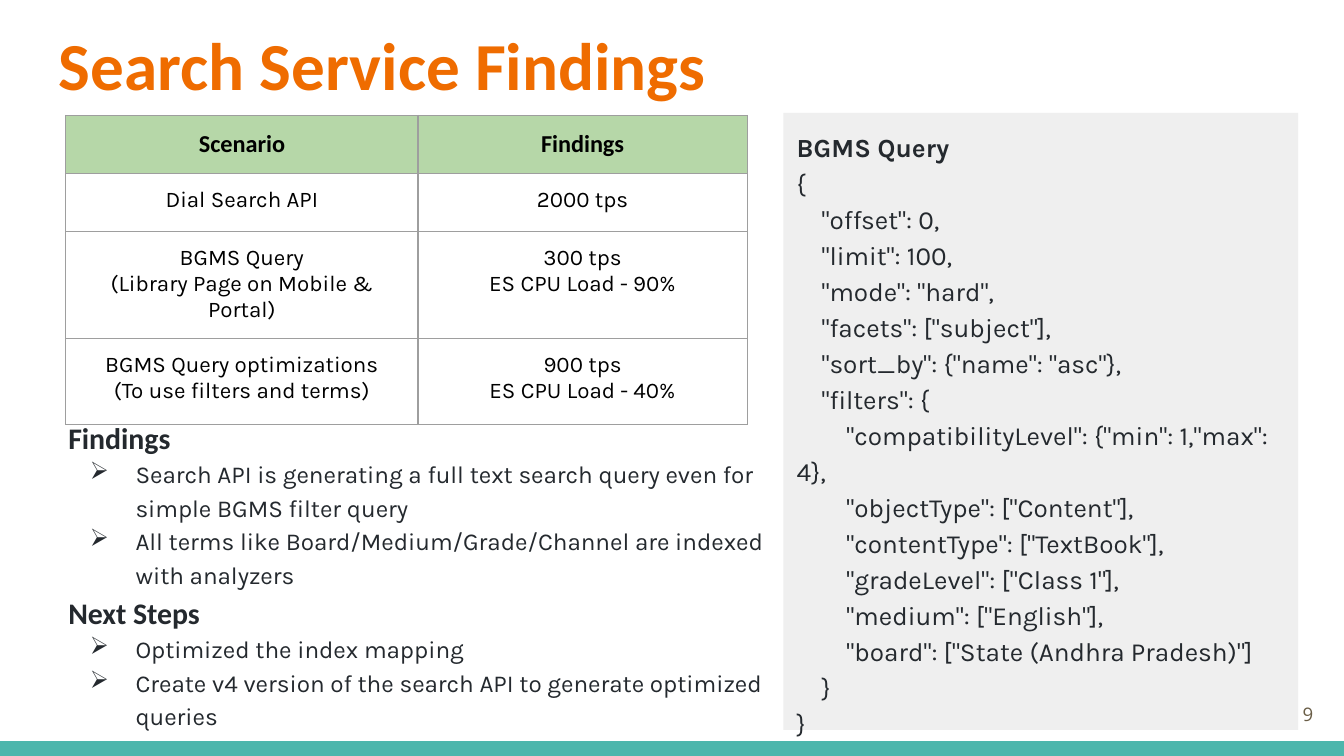
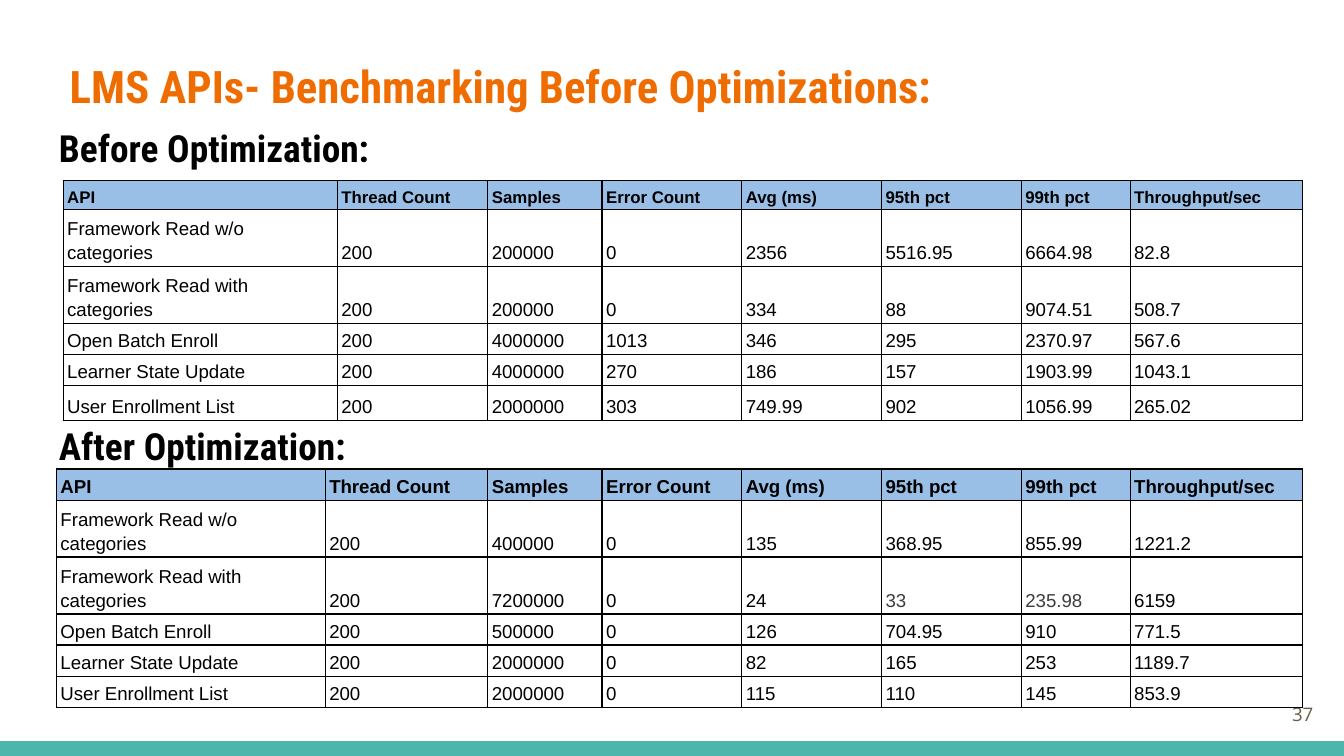
"""Builds two slides on search service findings and API benchmarks."""
import lxml.etree
import pptx
import pptx.dml.color
import pptx.enum.shapes
import pptx.enum.text
import pptx.oxml.ns
import pptx.util

COLORS = {
    "band": "4DB6AC", "title": "EF6C00", "body": "24292E", "black": "000000",
    "panel": "EFEFEF", "green": "B6D7A8", "blue": "99BFE6", "number": "695D46",
    "grid": "9E9E9E", "muted": "3D3D3D",
}
RGB = {name: pptx.dml.color.RGBColor.from_string(value) for name, value in COLORS.items()}
ALIGN = pptx.enum.text.PP_ALIGN
ANCHOR = pptx.enum.text.MSO_ANCHOR
RECTANGLE = pptx.enum.shapes.MSO_SHAPE.RECTANGLE
qn = pptx.oxml.ns.qn

deck = pptx.Presentation()
deck.slide_width = pptx.util.Inches(10)
deck.slide_height = pptx.util.Inches(5.625)
STEP = deck.slide_width // 100
ROWS = 56.25


def write(frame, text, font, size, color, bold=False, align=ALIGN.LEFT, spacing=None):
    """Fill a text frame and give all of its paragraphs one style."""
    frame.word_wrap = True
    frame.text = text
    for paragraph in frame.paragraphs:
        paragraph.alignment = align
        paragraph.line_spacing = spacing
        for line_break in paragraph._p.findall(qn("a:br")):
            lxml.etree.SubElement(line_break, qn("a:rPr"), sz=str(size * 100))
        for run in paragraph.runs:
            run.font.name = font
            run.font.size = pptx.util.Pt(size)
            run.font.bold = bold
            run.font.color.rgb = RGB[color]


def draw_table(slide, left, top, columns, heights, records, border, header_fill,
               insets, anchor, header_style, body_style):
    """Draw a bordered table with a filled header row."""
    frame = slide.shapes.add_table(
        len(records), len(columns), int(left * STEP), int(top * STEP),
        int(sum(columns) * STEP), int(sum(heights) * STEP))
    table = frame.table
    table.first_row = table.horz_banding = False
    for column, width in zip(table.columns, columns):
        column.width = int(width * STEP)
    for row, height in zip(table.rows, heights):
        row.height = int(height * STEP)
    for r, record in enumerate(records):
        for c, value in enumerate(record):
            cell = table.cell(r, c)
            cell.margin_left = cell.margin_right = int(insets[0] * STEP)
            cell.margin_top = cell.margin_bottom = int(insets[1] * STEP)
            cell.vertical_anchor = anchor
            write(cell.text_frame, value, **(body_style if r else header_style))
            properties = cell._tc.get_or_add_tcPr()
            for side in ("a:lnL", "a:lnR", "a:lnT", "a:lnB"):
                edge = lxml.etree.SubElement(properties, qn(side), w="9525")
                fill = lxml.etree.SubElement(edge, qn("a:solidFill"))
                lxml.etree.SubElement(fill, qn("a:srgbClr"), val=COLORS[border])
            if r:
                cell.fill.background()
            else:
                cell.fill.solid()
                cell.fill.fore_color.rgb = RGB[header_fill]
    return table


search, benchmark = [deck.slides.add_slide(deck.slide_layouts[6]) for _ in range(2)]

FINDINGS = """Findings
Search API is generating a full text search query even for simple BGMS filter query
All terms like Board/Medium/Grade/Channel are indexed with analyzers
Next Steps
Optimized the index mapping
Create v4 version of the search API to generate optimized queries"""

QUERY = """BGMS Query
{
    "offset": 0,
    "limit": 100,
    "mode": "hard",
    "facets": ["subject"],
    "sort_by": {"name": "asc"},
    "filters": {
        "compatibilityLevel": {"min": 1,"max": 4},
        "objectType": ["Content"],
        "contentType": ["TextBook"],
        "gradeLevel": ["Class 1"],
        "medium": ["English"],
        "board": ["State (Andhra Pradesh)"]
    }
}"""

for slide, number in ((search, "9"), (benchmark, "37")):
    band = slide.shapes.add_shape(RECTANGLE, 0, int((ROWS - 1.1) * STEP),
                                  deck.slide_width, int(1.1 * STEP))
    band.shadow.inherit = False
    band.fill.solid()
    band.fill.fore_color.rgb = RGB["band"]
    band.line.fill.background()
    page = slide.shapes.add_textbox(*[int(v * STEP) for v in (92.7, 51, 6, 4.3)])
    write(page.text_frame, number, "Open Sans", 10, "number", align=ALIGN.RIGHT)
    page.text_frame.vertical_anchor = ANCHOR.MIDDLE
    page.text_frame.margin_top = page.text_frame.margin_bottom = STEP

for slide, area, text, font, size, color in (
    (search, (3.4, 0.7, 93.2, 7.7), "Search Service Findings", "Calibri", 36, "title"),
    (benchmark, (4.2, 3.4, 84.1, 5.9), "LMS APIs- Benchmarking Before Optimizations:",
     "Roboto Condensed", 24, "title"),
    (benchmark, (3.4, 8.3, 28.1, 3.4), "Before Optimization:", "Roboto Condensed", 20, "black"),
    (benchmark, (3.4, 30.5, 23.7, 3.4), "After Optimization:", "Roboto Condensed", 20, "black"),
):
    heading = slide.shapes.add_textbox(*[int(v * STEP) for v in area])
    write(heading.text_frame, text, font, size, color, bold=True)
    heading.text_frame.margin_top = heading.text_frame.margin_bottom = STEP

findings = search.shapes.add_textbox(*[int(v * STEP) for v in (4.1, 29.8, 53.8, 24.6)])
findings.text_frame.margin_top = findings.text_frame.margin_left = STEP
findings.text_frame.margin_right = STEP
write(findings.text_frame, FINDINGS, "Karla", 13, "body", spacing=1.15)
for paragraph in findings.text_frame.paragraphs:
    if paragraph.text in ("Findings", "Next Steps"):
        paragraph.runs[0].font.name = "Calibri"
        paragraph.runs[0].font.size = pptx.util.Pt(16)
        paragraph.runs[0].font.bold = True
    else:
        properties = paragraph._p.get_or_add_pPr()
        properties.set("marL", str(5 * STEP))
        properties.set("indent", str(int(-3.4 * STEP)))
        tint = lxml.etree.SubElement(properties, qn("a:buClr"))
        lxml.etree.SubElement(tint, qn("a:srgbClr"), val=COLORS["body"])
        lxml.etree.SubElement(properties, qn("a:buChar"), char="➢")

draw_table(
    search, 4.9, 8.6, (26.2, 24.5), (4.3, 4.3, 6.4, 6.4),
    (("Scenario", "Findings"),
     ("Dial Search API", "2000 tps"),
     ("BGMS Query\n(Library Page on Mobile & Portal)", "300 tps\vES CPU Load - 90%"),
     ("BGMS Query optimizations\n(To use filters and terms)", "900 tps\vES CPU Load - 40%")),
    "grid", "green", (1, 1), ANCHOR.TOP,
    dict(font="Calibri", size=13, color="black", bold=True, align=ALIGN.CENTER),
    dict(font="Karla", size=12, color="black", align=ALIGN.CENTER))

query = search.shapes.add_shape(RECTANGLE, *[int(v * STEP) for v in (58.3, 8.4, 38.3, 45.9)])
query.shadow.inherit = False
query.fill.solid()
query.fill.fore_color.rgb = RGB["panel"]
query.line.fill.background()
query.text_frame.vertical_anchor = ANCHOR.TOP
query.text_frame.margin_top = query.text_frame.margin_bottom = STEP
query.text_frame.margin_left = query.text_frame.margin_right = STEP
write(query.text_frame, QUERY, "Karla", 14, "body", spacing=1.15)
query.text_frame.paragraphs[0].runs[0].font.bold = True

METRICS = ("API", "Thread Count", "Samples", "Error Count", "Avg (ms)",
           "95th pct", "99th pct", "Throughput/sec")
APIS = ("Framework Read w/o categories", "Framework Read with categories",
        "Open Batch Enroll", "Learner State Update", "User Enrollment List")
THREADS = "200"
METRIC_COLUMNS = (8.5, 10.4, 10.4, 10.4, 8.1, 12.8)
BEFORE = (
    ("200000", "0", "2356", "5516.95", "6664.98", "82.8"),
    ("200000", "0", "334", "88", "9074.51", "508.7"),
    ("4000000", "1013", "346", "295", "2370.97", "567.6"),
    ("4000000", "270", "186", "157", "1903.99", "1043.1"),
    ("2000000", "303", "749.99", "902", "1056.99", "265.02"),
)
AFTER = (
    ("400000", "0", "135", "368.95", "855.99", "1221.2"),
    ("7200000", "0", "24", "33", "235.98", "6159"),
    ("500000", "0", "126", "704.95", "910", "771.5"),
    ("2000000", "0", "82", "165", "253", "1189.7"),
    ("2000000", "0", "115", "110", "145", "853.9"),
)
for left, top, lead_columns, heights, results, header_size in (
    (4.7, 13.4, (20.4, 11.2), (2.2, 3.6, 3.6, 2.2, 2.2, 2.6), BEFORE, 9),
    (4.2, 34.9, (20, 12.1), (2.2, 3.9, 3.9, 2.2, 2.2, 2.2), AFTER, 10),
):
    records = [METRICS] + [(api, THREADS) + result for api, result in zip(APIS, results)]
    measured = draw_table(
        benchmark, left, top, lead_columns + METRIC_COLUMNS, heights, records,
        "black", "blue", (0.3, 0.2), ANCHOR.BOTTOM,
        dict(font="Arial", size=header_size, color="black", bold=True, spacing=1.15),
        dict(font="Arial", size=10, color="black", spacing=1.15))

for column in (5, 6):
    muted = measured.cell(2, column).text_frame.paragraphs[0].runs[0]
    muted.font.color.rgb = RGB["muted"]

deck.save("out.pptx")
